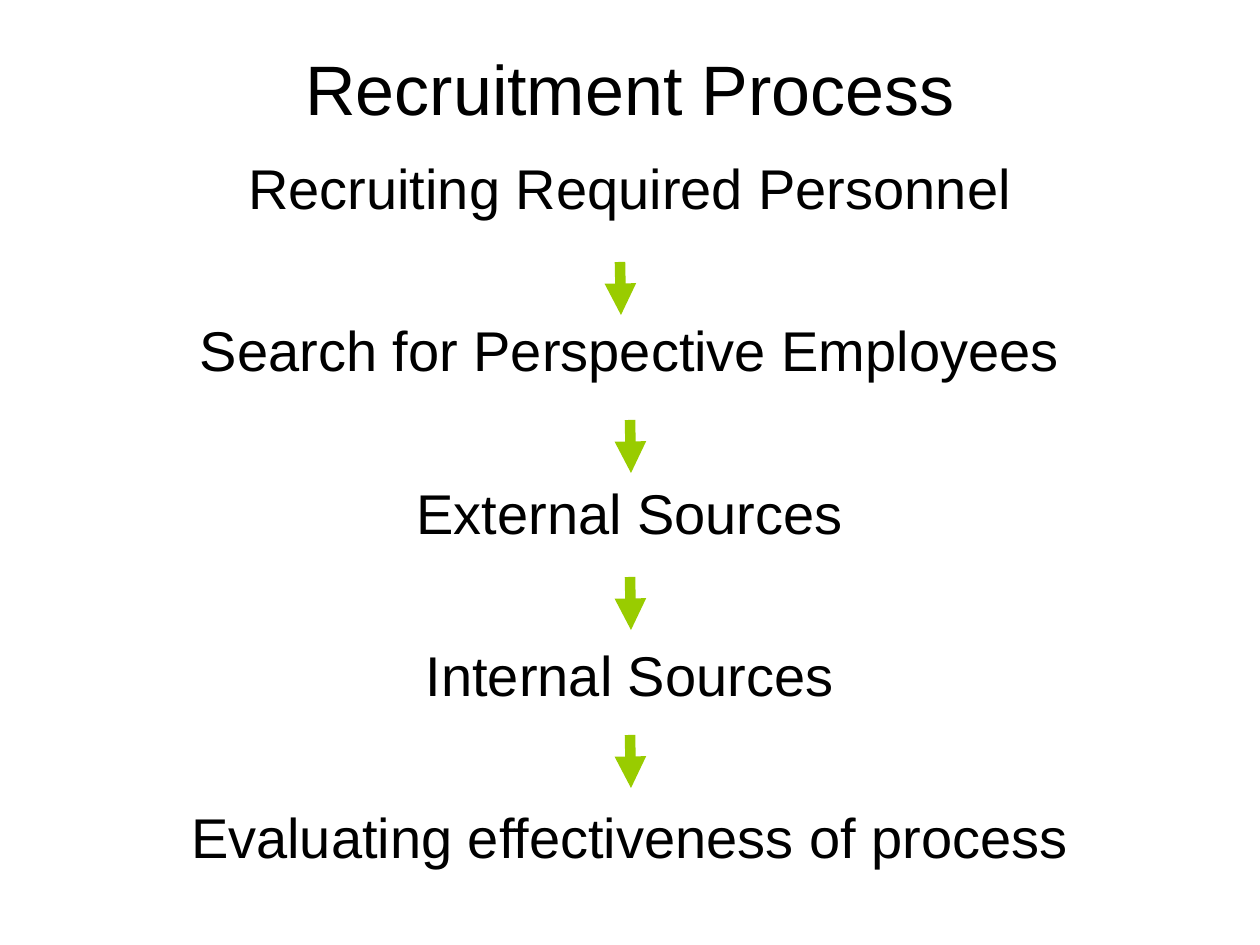
from dataclasses import dataclass

import pptx
import pptx.dml.color
import pptx.enum.shapes
import pptx.enum.text
import pptx.oxml.ns
import pptx.util
from lxml import etree

EMU_PER_PX = 914400 / 126


@dataclass(frozen=True)
class Theme:
    font: str = "Arial"
    text: str = "000000"
    arrow: str = "99CC00"
    title_size: int = 40
    step_size: int = 32
    step_gap: float = 54.2
    arrow_width: int = 6


THEME = Theme()
STEPS = [
    "Recruiting Required Personnel",
    "Search for Perspective Employees",
    "External Sources",
    "Internal Sources",
    "Evaluating effectiveness of process",
]
ARROW_LEFTS = [620, 630, 630, 630]
FIRST_ARROW_TOP = 262
LAST_ARROW_TOP = 735
ARROW_LENGTH = 53


def px(length):
    return pptx.util.Emu(round(length * EMU_PER_PX))


def color(value):
    return pptx.dml.color.RGBColor.from_string(value)


def add_text(slide, box, lines, size, anchor, inset_top=6, gap=0):
    shape = slide.shapes.add_textbox(*map(px, box))
    frame = shape.text_frame
    frame.word_wrap = True
    frame.vertical_anchor = anchor
    frame.margin_top = px(inset_top)
    for index, line in enumerate(lines):
        paragraph = frame.add_paragraph() if index else frame.paragraphs[0]
        paragraph.alignment = pptx.enum.text.PP_ALIGN.CENTER
        if index:
            paragraph.space_before = pptx.util.Pt(gap)
        run = paragraph.add_run()
        run.text = line
        run.font.name = THEME.font
        run.font.size = pptx.util.Pt(size)
        run.font.color.rgb = color(THEME.text)


def add_arrow(slide, left, top):
    arrow = slide.shapes.add_connector(
        pptx.enum.shapes.MSO_CONNECTOR.STRAIGHT,
        px(left), px(top), px(left + 1), px(top + ARROW_LENGTH),
    )
    arrow.line.color.rgb = color(THEME.arrow)
    arrow.line.width = pptx.util.Pt(THEME.arrow_width)
    properties = arrow.element.spPr
    line = properties.find(pptx.oxml.ns.qn("a:ln"))
    etree.SubElement(line, pptx.oxml.ns.qn("a:tailEnd"), type="triangle")
    etree.SubElement(properties, pptx.oxml.ns.qn("a:effectLst"))


def main():
    presentation = pptx.Presentation()
    presentation.slide_width = px(1260)
    presentation.slide_height = px(945)
    slide = presentation.slides.add_slide(presentation.slide_layouts[6])
    anchor = pptx.enum.text.MSO_ANCHOR
    add_text(slide, (63, 39, 1134, 98), ["Recruitment Process"],
             THEME.title_size, anchor.MIDDLE)
    add_text(slide, (63, 147, 1134, 746), STEPS, THEME.step_size, anchor.TOP,
             inset_top=7, gap=THEME.step_gap)
    pitch = (LAST_ARROW_TOP - FIRST_ARROW_TOP) / (len(ARROW_LEFTS) - 1)
    for index, left in enumerate(ARROW_LEFTS):
        add_arrow(slide, left, round(FIRST_ARROW_TOP + index * pitch))
    presentation.save("out.pptx")


if __name__ == "__main__":
    main()
